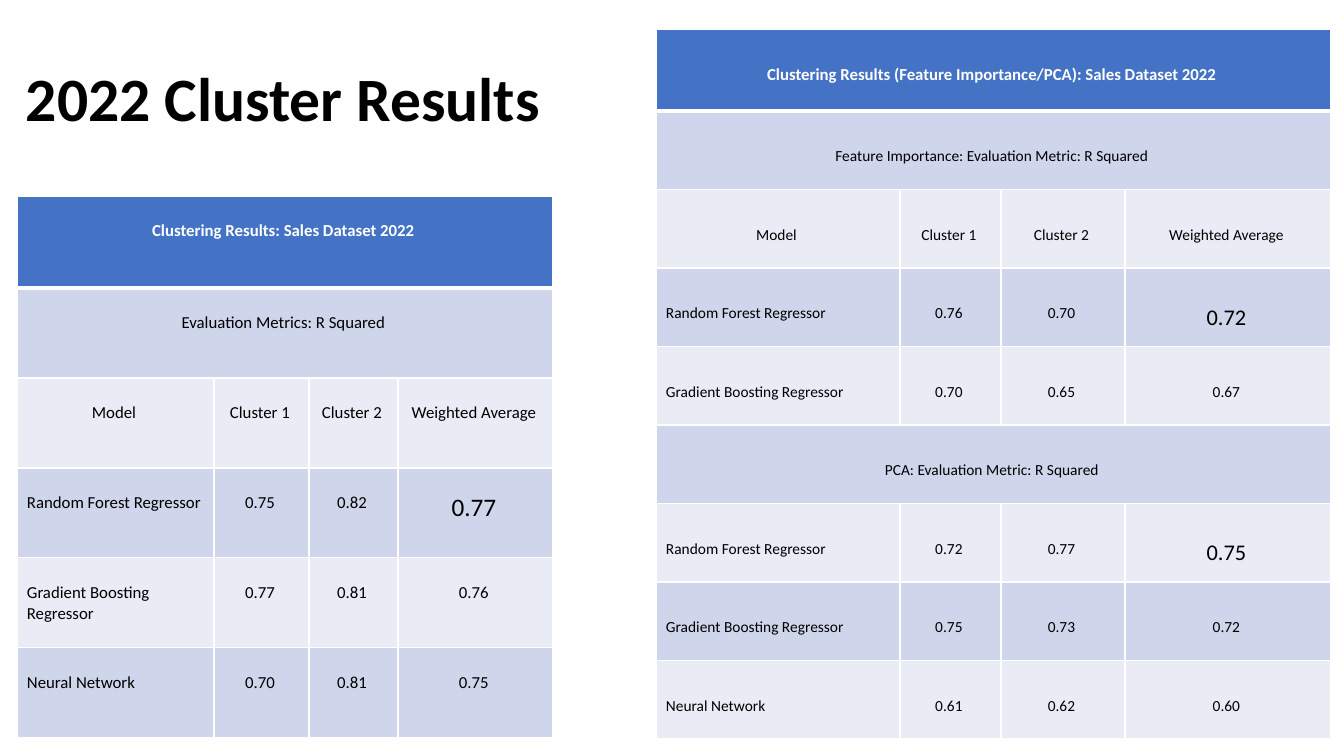
from lxml.etree import SubElement
from pptx import Presentation
from pptx.dml.color import RGBColor
from pptx.enum.text import MSO_ANCHOR, PP_ALIGN
from pptx.oxml.ns import qn
from pptx.util import Emu, Pt

EMU_PER_PX = 914400 / 100.8
BLACK = RGBColor(0x00, 0x00, 0x00)
WHITE = RGBColor(0xFF, 0xFF, 0xFF)
BLUE = RGBColor(0x44, 0x72, 0xC4)
BANDS = RGBColor(0xE9, 0xEB, 0xF5), RGBColor(0xCF, 0xD5, 0xEA)

COLUMNS = ("Model", "Cluster 1", "Cluster 2", "Weighted Average")
FOREST = "Random Forest Regressor"
BOOSTING = "Gradient Boosting Regressor"
NETWORK = "Neural Network"
BEST_MODEL = FOREST

# A row with a single entry spans the whole table.
CLUSTER_ROWS = [
    ("Clustering Results: Sales Dataset 2022",),
    ("Evaluation Metrics: R Squared",),
    COLUMNS,
    (FOREST, "0.75", "0.82", "0.77"),
    (BOOSTING, "0.77", "0.81", "0.76"),
    (NETWORK, "0.70", "0.81", "0.75"),
]
FEATURE_ROWS = [
    ("Clustering Results (Feature Importance/PCA): Sales Dataset 2022",),
    ("Feature Importance: Evaluation Metric: R Squared",),
    COLUMNS,
    (FOREST, "0.76", "0.70", "0.72"),
    (BOOSTING, "0.70", "0.65", "0.67"),
    ("PCA: Evaluation Metric: R Squared",),
    (FOREST, "0.72", "0.77", "0.75"),
    (BOOSTING, "0.75", "0.73", "0.72"),
    (NETWORK, "0.61", "0.62", "0.60"),
]


def px(n):
    return Emu(round(n * EMU_PER_PX))


def write(tf, text, size, color=BLACK, bold=False, align=PP_ALIGN.LEFT):
    p = tf.paragraphs[0]
    p.alignment = align
    r = p.add_run()
    r.text = text
    r.font.color.rgb = color
    for name, value in {"name": "Calibri", "size": Pt(size), "bold": bold}.items():
        setattr(r.font, name, value)
    return p


def add_title(s, text):
    tf = s.shapes.add_textbox(px(16), px(29), px(1159), px(146)).text_frame
    tf.word_wrap = True
    tf.vertical_anchor = MSO_ANCHOR.MIDDLE
    write(tf, text, 44, bold=True).line_spacing = 0.9


def set_borders(cell, top, bottom):
    """Draw white cell borders, with top and bottom widths in points."""
    tc_pr = cell._tc.get_or_add_tcPr()
    widths = {"a:lnL": 1, "a:lnR": 1, "a:lnT": top, "a:lnB": bottom}
    for i, (tag, width) in enumerate(widths.items()):
        ln = SubElement(tc_pr, qn(tag), w=str(Pt(width)))
        fill = SubElement(ln, qn("a:solidFill"))
        SubElement(fill, qn("a:srgbClr"), val=str(WHITE))
        tc_pr.insert(i, ln)


def format_cell(cell, row, margin_top):
    margins = {"margin_left": 10, "margin_right": 13,
               "margin_top": margin_top, "margin_bottom": 5}
    for name, value in margins.items():
        setattr(cell, name, px(value))
    cell.vertical_anchor = MSO_ANCHOR.TOP
    cell.fill.solid()
    cell.fill.fore_color.rgb = BANDS[row % 2] if row else BLUE
    set_borders(cell, top=3 if row == 1 else 1, bottom=1 if row else 3)


def add_results(s, left, top, widths, header_height, body_height, rows,
                margin_top, size, best_size):
    table = s.shapes.add_table(len(rows), len(widths), px(left), px(top),
                               px(sum(widths)),
                               px(header_height + body_height)).table
    for column, width in zip(table.columns, widths):
        column.width = px(width)
    for i, entries in enumerate(rows):
        table.rows[i].height = px(body_height / (len(rows) - 1) if i else header_height)
        for cell in table.rows[i].cells:
            format_cell(cell, i, margin_top)
        if len(entries) == 1:
            table.cell(i, 0).merge(table.cell(i, len(widths) - 1))
        for j, text in enumerate(entries):
            is_model = j == 0 and text in (FOREST, BOOSTING, NETWORK)
            is_best = entries[0] == BEST_MODEL and j == len(widths) - 1
            write(table.cell(i, j).text_frame, text,
                  12 if i == 0 else best_size if is_best else size,
                  BLACK if i else WHITE, bold=i == 0,
                  align=PP_ALIGN.LEFT if is_model else PP_ALIGN.CENTER)


def main():
    prs = Presentation()
    prs.slide_width, prs.slide_height = px(1344), px(756)
    s = prs.slides.add_slide(prs.slide_layouts[6])
    add_title(s, "2022 Cluster Results")
    add_results(s, 17, 196, (197, 95, 89, 155), 92, 450, CLUSTER_ROWS,
                margin_top=25, size=12, best_size=18)
    add_results(s, 656, 29, (244, 101, 124, 206), 82, 628, FEATURE_ROWS,
                margin_top=36, size=11, best_size=16)
    prs.save("out.pptx")


if __name__ == "__main__":
    main()
